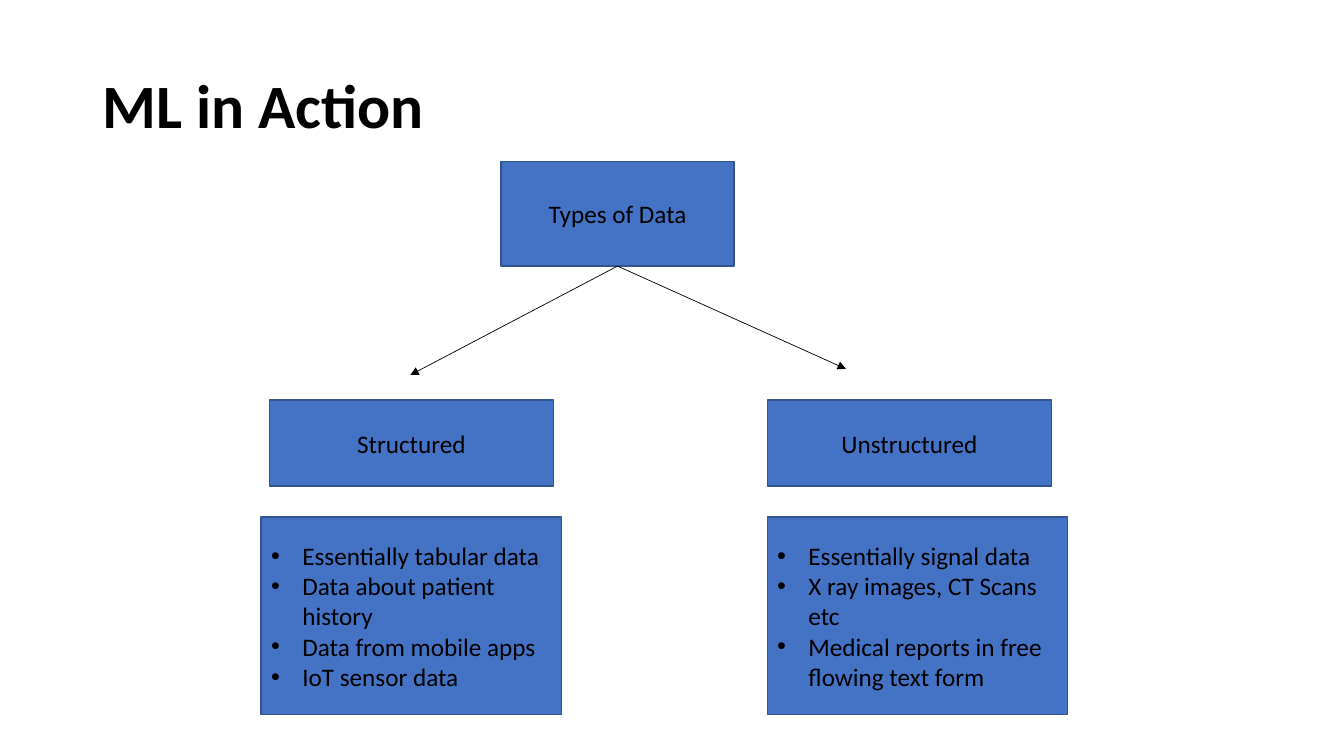
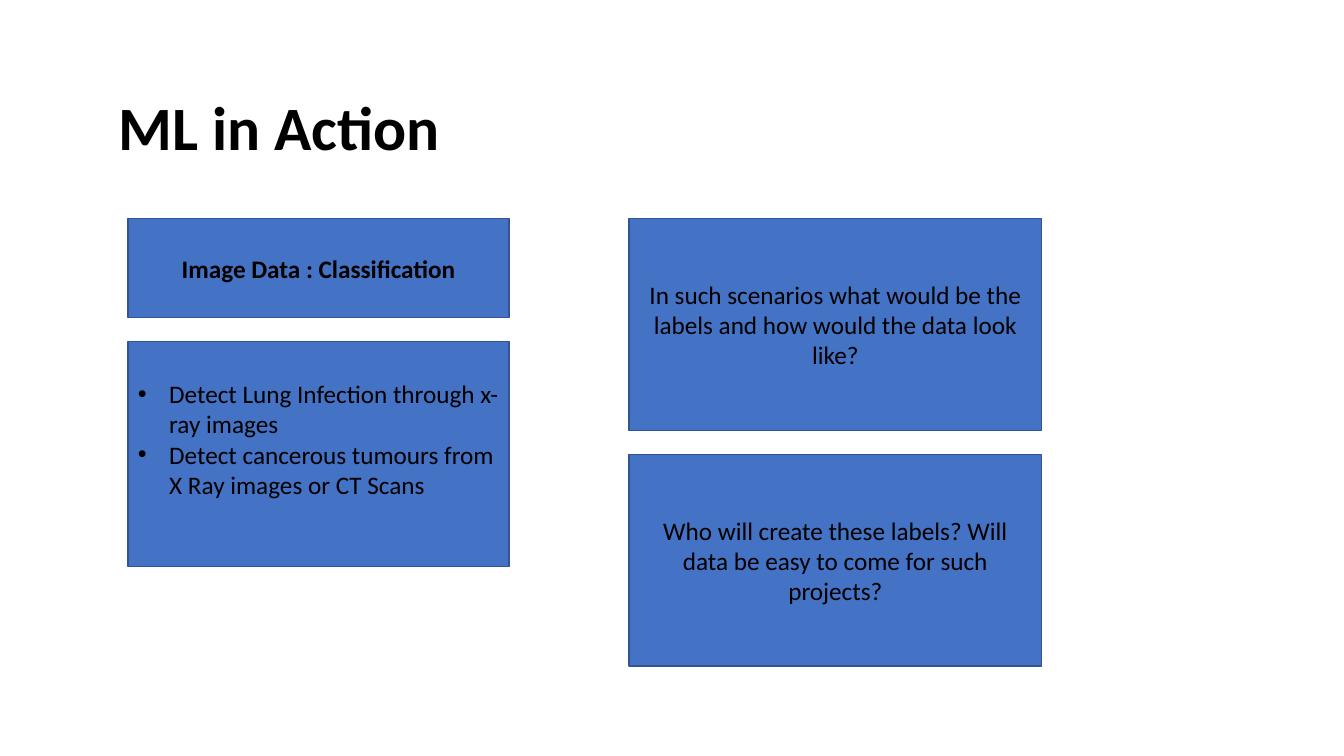
"""Build two slides on the types of data and image classification in machine learning."""
import pptx
import pptx.util
import pptx.dml.color
import pptx.enum.shapes
import pptx.enum.text
import pptx.oxml.ns
import lxml.etree

Inches = pptx.util.Inches
Points = pptx.util.Pt
ALIGN = pptx.enum.text.PP_ALIGN
COLORS = {"box": "4472C4", "edge": "325491", "ink": "000000"}
FONT = "Calibri"
BODY = {"size": Points(18), "bold": False}
HEADING = {"size": Points(18), "bold": True}
TITLE = {"size": Points(44), "bold": True}
TITLE_SIZE = (11.5, 1.45)
INDENT = 0.31
INSET = 0.05

TREE = {
    "title": "ML in Action",
    "title_at": (0.92, 0.35),
    "root": ("Types of Data", (4.97, 1.6, 2.31, 1.04)),
    "label_row": (3.97, 2.82, 0.85),
    "detail_row": (5.13, 2.98, 1.96),
    "branches": [
        {
            "label": "Structured",
            "label_left": 2.67,
            "detail_left": 2.59,
            "arrow_end": (4.07, 3.72),
            "details": [
                "Essentially tabular data",
                "Data about patient history",
                "Data from mobile apps",
                "IoT sensor data",
            ],
        },
        {
            "label": "Unstructured",
            "label_left": 7.61,
            "detail_left": 7.61,
            "arrow_end": (8.39, 3.66),
            "details": [
                "Essentially signal data",
                "X ray images, CT Scans etc",
                "Medical reports in free flowing text form",
            ],
        },
    ],
}

CLASSIFICATION = {
    "title": "ML in Action",
    "title_at": (1.08, 0.57),
    "top": 2.17,
    "gap": 0.24,
    "columns": [
        {
            "left": 1.27,
            "width": 3.78,
            "boxes": [
                {"height": 0.98, "lines": ["Image Data : Classification"], "style": HEADING},
                {
                    "height": 2.23,
                    "lines": [
                        "Detect Lung Infection through x-ray images",
                        "Detect cancerous tumours from X Ray images or CT Scans",
                    ],
                    "bulleted": True,
                    "bottom_inset": 0.35,
                },
            ],
        },
        {
            "left": 6.24,
            "width": 4.09,
            "boxes": [
                {
                    "height": 2.1,
                    "lines": ["In such scenarios what would be the labels and how would the data look like?"],
                },
                {
                    "height": 2.1,
                    "lines": ["Who will create these labels? Will data be easy to come for such projects?"],
                },
            ],
        },
    ],
}


def rgb(name):
    return pptx.dml.color.RGBColor.from_string(COLORS[name])


def add_child(parent, tag, **attributes):
    return lxml.etree.SubElement(parent, pptx.oxml.ns.qn(tag), attributes)


def add_bullet(paragraph):
    properties = paragraph._p.get_or_add_pPr()
    indent = Inches(INDENT)
    properties.set("marL", str(indent))
    properties.set("indent", str(-indent))
    add_child(properties, "a:buFont", typeface="Arial")
    add_child(properties, "a:buChar", char="•")


def write_text(shape, lines, style, alignment, bulleted=False, line_spacing=None, bottom_inset=INSET):
    frame = shape.text_frame
    frame.word_wrap = True
    frame.vertical_anchor = pptx.enum.text.MSO_ANCHOR.MIDDLE
    frame.margin_bottom = Inches(bottom_inset)
    frame.text = "\n".join(lines)
    for paragraph in frame.paragraphs:
        paragraph.alignment = alignment
        if line_spacing:
            paragraph.line_spacing = line_spacing
        if bulleted:
            add_bullet(paragraph)
        font = paragraph.runs[0].font
        for name, value in {"name": FONT, **style}.items():
            setattr(font, name, value)
        font.color.rgb = rgb("ink")


def add_title(slide, text, position):
    box = slide.shapes.add_textbox(*map(Inches, position + TITLE_SIZE))
    write_text(box, [text], TITLE, ALIGN.LEFT, line_spacing=0.9)


def add_box(slide, place, lines, style=BODY, bulleted=False, bottom_inset=INSET):
    shape = slide.shapes.add_shape(pptx.enum.shapes.MSO_SHAPE.RECTANGLE, *map(Inches, place))
    shape.shadow.inherit = False
    shape.fill.solid()
    shape.fill.fore_color.rgb = rgb("box")
    shape.line.color.rgb = rgb("edge")
    shape.line.width = Points(1)
    alignment = ALIGN.LEFT if bulleted else ALIGN.CENTER
    write_text(shape, lines, style, alignment, bulleted, bottom_inset=bottom_inset)
    return shape


def add_arrow(slide, source, end):
    straight = pptx.enum.shapes.MSO_CONNECTOR.STRAIGHT
    end_x, end_y = map(Inches, end)
    arrow = slide.shapes.add_connector(straight, source.left, source.top, end_x, end_y)
    arrow.begin_connect(source, 2)
    arrow.line.color.rgb = rgb("ink")
    arrow.line.width = Points(0.5)
    add_child(arrow.line._get_or_add_ln(), "a:tailEnd", type="triangle")
    add_child(arrow._element.spPr, "a:effectLst")


def build_tree(slide):
    add_title(slide, TREE["title"], TREE["title_at"])
    root_text, root_place = TREE["root"]
    root = add_box(slide, root_place, [root_text])
    for branch in TREE["branches"]:
        add_arrow(slide, root, branch["arrow_end"])
        add_box(slide, (branch["label_left"], *TREE["label_row"]), [branch["label"]])
        add_box(slide, (branch["detail_left"], *TREE["detail_row"]), branch["details"], bulleted=True)


def build_classification(slide):
    add_title(slide, CLASSIFICATION["title"], CLASSIFICATION["title_at"])
    for column in CLASSIFICATION["columns"]:
        top = CLASSIFICATION["top"]
        for box in column["boxes"]:
            options = dict(box)
            height = options.pop("height")
            add_box(slide, (column["left"], top, column["width"], height), **options)
            top += height + CLASSIFICATION["gap"]


def main():
    presentation = pptx.Presentation()
    presentation.slide_width = Inches(13.33)
    presentation.slide_height = Inches(7.5)
    for build in (build_tree, build_classification):
        build(presentation.slides.add_slide(presentation.slide_layouts[6]))
    presentation.save("out.pptx")


if __name__ == "__main__":
    main()
